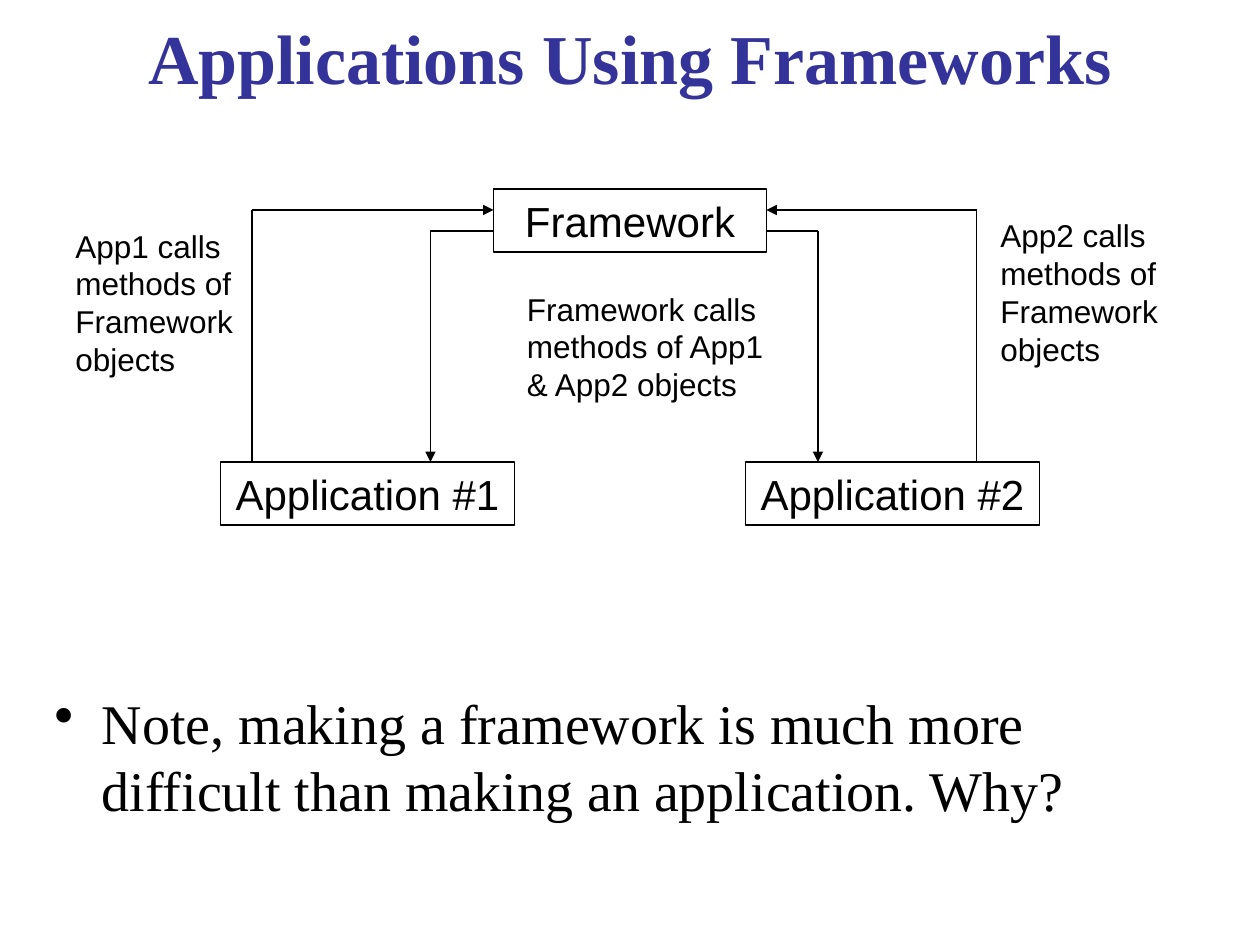
from lxml import etree
from pptx import Presentation
from pptx import util as u
from pptx.dml.color import RGBColor
from pptx.enum import shapes, text
from pptx.oxml.ns import qn

PX = 7620
SERIF, SANS = "Times New Roman", "Arial"
BLACK, NAVY = "000000", "333399"
LEFT, MID = text.PP_ALIGN.LEFT, text.PP_ALIGN.CENTER
TOP, CORE = text.MSO_ANCHOR.TOP, text.MSO_ANCHOR.MIDDLE


def rgb(code):
    """Turn a hex string into a colour."""
    return RGBColor.from_string(code)


class Pen:
    """Draws elements in one style on the current slide."""

    def __init__(self, slide):
        """Keep the slide."""
        self.slide = slide

    def letter(self, shape, words, size, font=SANS, color=BLACK, align=LEFT,
               anchor=TOP, bold=False, before=0):
        """Set and format the text of a shape."""
        frame = shape.text_frame
        frame.word_wrap = True
        frame.vertical_anchor = anchor
        para = frame.paragraphs[0]
        para.text = words
        para.alignment = align
        para.space_before = u.Pt(before)
        face = para.runs[0].font
        face.name, face.size, face.bold = font, u.Pt(size), bold
        face.color.rgb = rgb(color)
        return para

    def label(self, words, area, size=18, **style):
        """Add a text box."""
        box = self.slide.shapes.add_textbox(*(n * PX for n in area))
        return self.letter(box, words, size, **style)

    def bullet(self, words, area, size, **style):
        """Add a bulleted text box."""
        prop = self.label(words, area, size, **style)._p.get_or_add_pPr()
        prop.set("marL", str(45 * PX))
        prop.set("indent", str(-45 * PX))
        etree.SubElement(prop, qn("a:buChar")).set("char", "•")

    def box(self, words, area):
        """Add an outlined rectangle with centred text."""
        kind = shapes.MSO_SHAPE.RECTANGLE
        rect = self.slide.shapes.add_shape(kind, *(n * PX for n in area))
        rect.shadow.inherit = False
        rect.fill.background()
        rect.line.color.rgb = rgb(BLACK)
        rect.line.width = u.Pt(0.75)
        self.letter(rect, words, 24, align=MID)

    def line(self, start, end, arrow=False):
        """Add a straight line, with an arrowhead at its end if asked."""
        ends = (n * PX for n in (*start, *end))
        link = self.slide.shapes.add_connector(shapes.MSO_CONNECTOR.STRAIGHT, *ends)
        link.line.color.rgb = rgb(BLACK)
        link.line.width = u.Pt(0.75)
        if arrow:
            tail = etree.SubElement(link.line._get_or_add_ln(), qn("a:tailEnd"))
            tail.set("type", "triangle")
        etree.SubElement(link._element.spPr, qn("a:effectLst"))


def main():
    """Build the slide."""
    deck = Presentation()
    deck.slide_width, deck.slide_height = 1200 * PX, 900 * PX
    pen = Pen(deck.slides.add_slide(deck.slide_layouts[6]))

    pen.label("Applications Using Frameworks", (40, 8, 1120, 92), 40, font=SERIF,
              color=NAVY, align=MID, anchor=CORE, bold=True)
    pen.bullet("Note, making a framework is much more difficult than making "
               "an application. Why?", (40, 650, 1120, 190), 32, font=SERIF, before=8)

    pen.box("Framework", (470, 180, 260, 60))
    sides = ((1, 210, 470, 240, 410, 60, 210), (2, 710, 730, 930, 779, 941, 200))
    for num, left, edge, outer, inner, side, top in sides:
        pen.box(f"Application #{num}", (left, 440, 280, 60))
        pen.line((outer, 200), (outer, 440))
        pen.line((outer, 200), (edge, 200), arrow=True)
        pen.line((edge, 220), (inner, 220))
        pen.line((inner, 220), (inner, 440), arrow=True)
        pen.label(f"App{num} calls methods of Framework objects",
                  (side, top, 200, 156), before=11.2)
    pen.label("Framework calls methods of App1 & App2 objects",
              (490, 270, 269, 120), before=11.2)
    deck.save("out.pptx")


if __name__ == "__main__":
    main()
